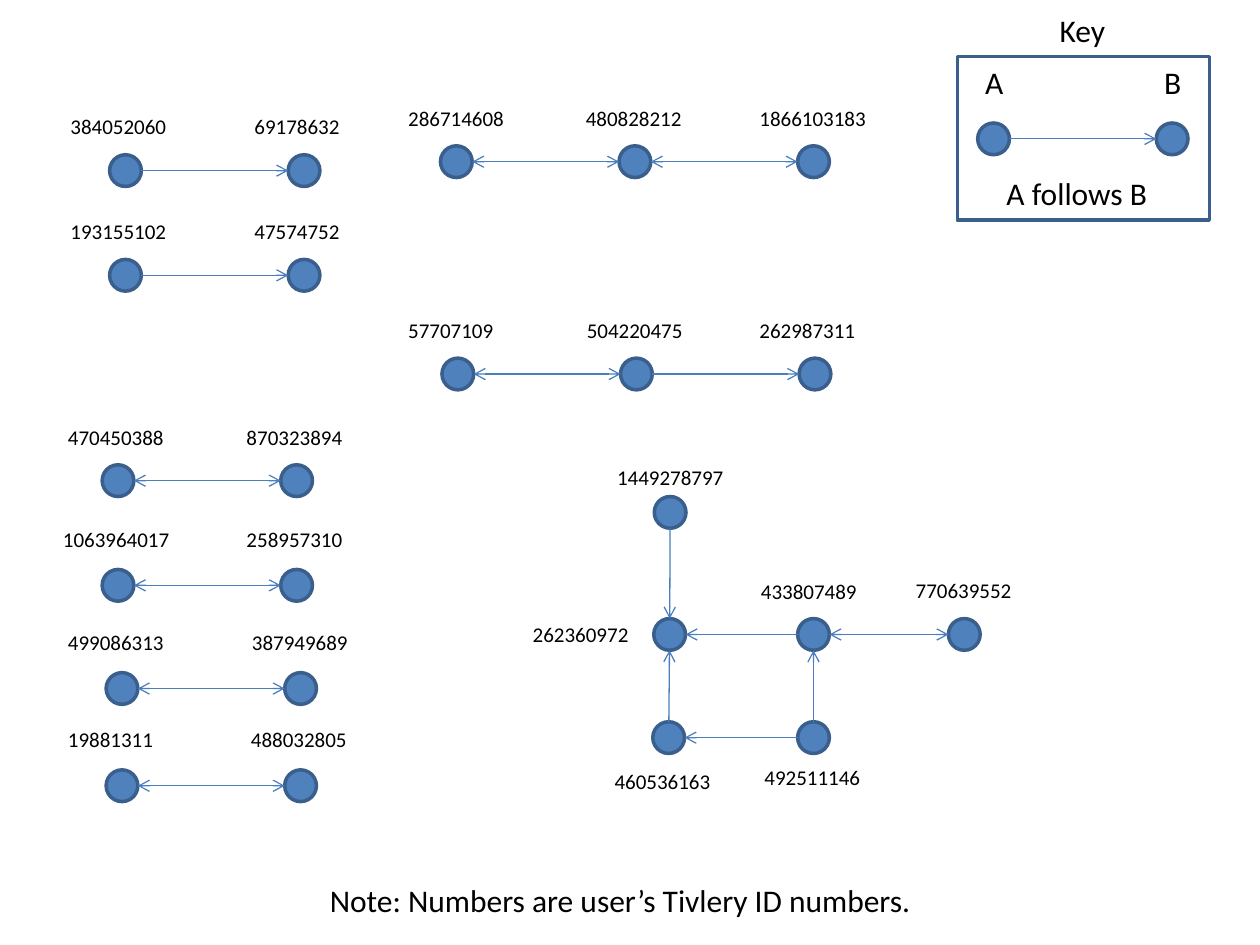
import math

import pptx
import pptx.dml.color
import pptx.enum.shapes
import pptx.enum.text
import pptx.oxml.ns
import pptx.util
from lxml import etree
from pptx.util import Cm

FILL, OUTLINE, ARROW, BLACK = "4F81BD", "3A5F8C", "4B7EBC", "000000"
DIAMETER = 0.64
STEP = 3.6


def paint(fill, color):
    """Make a fill (of a shape, line or font) one solid hex colour."""
    fill.solid()
    fill.fore_color.rgb = pptx.dml.color.RGBColor.from_string(color)


def add_text(text, left, top, width, height=1.03, size=18, wrap=True, color=BLACK):
    """Add a one-paragraph text box, placed in centimetres."""
    tf = s.shapes.add_textbox(Cm(left), Cm(top), Cm(width), Cm(height)).text_frame
    tf.word_wrap = wrap
    tf.auto_size = pptx.enum.text.MSO_AUTO_SIZE.SHAPE_TO_FIT_TEXT
    r = tf.paragraphs[0].add_run()
    r.text = text
    r.font.name = "Calibri"
    r.font.size = pptx.util.Pt(size)
    paint(r.font.fill, color)


prs = pptx.Presentation()
prs.slide_width, prs.slide_height = Cm(25.4), Cm(19.05)
s = prs.slides.add_slide(prs.slide_layouts[6])

# Key frame and captions
frame = s.shapes.add_shape(pptx.enum.shapes.MSO_SHAPE.RECTANGLE,
                           Cm(19.3), Cm(1.14), Cm(5.08), Cm(3.3))
frame.shadow.inherit = False
frame.fill.background()
paint(frame.line.fill, OUTLINE)
frame.line.width = pptx.util.Pt(2)
add_text("Key", 21.11, 0.1, 1.47)
add_text("A follows B", 20.04, 3.38, 3.61)
add_text("Note: Numbers are user’s Tivlery ID numbers.", 6.4, 17.63, 12.9)

# Cluster users: centre x, centre y, label left, label top
nodes = {
    "262360972": (13.5, 12.79, 10.49, 12.4),
    "460536163": (13.48, 14.87, 12.14, 15.37),
    "1449278797": (13.51, 10.33, 12.19, 9.25),
    "433807489": (16.4, 12.79, 15.09, 11.53),
    "770639552": (19.44, 12.79, 18.21, 11.51),
    "492511146": (16.4, 14.87, 15.16, 15.29),
}
# Follower, followed, whether it is mutual
follows = [
    ("460536163", "262360972", False),
    ("433807489", "262360972", False),
    ("1449278797", "262360972", False),
    ("433807489", "770639552", True),
    ("492511146", "433807489", False),
    ("492511146", "460536163", False),
]

# Chains: first centre x, centre y, label top, users with label left, mutual links
chains = [
    (2.53, 3.44, 2.16, {"384052060": 1.17, "69178632": 4.88}, [False]),
    (2.53, 5.55, 4.29, {"193155102": 1.17, "47574752": 4.88}, [False]),
    (2.38, 9.69, 8.43, {"470450388": 1.12, "870323894": 4.72}, [True]),
    (2.38, 11.8, 10.49, {"1063964017": 1.02, "258957310": 4.72}, [True]),
    (2.46, 13.88, 12.57, {"499086313": 1.12, "387949689": 4.83}, [True]),
    (2.46, 15.84, 14.53, {"19881311": 1.12, "488032805": 4.81}, [True]),
    (9.2, 3.26, 2.01, {"286714608": 7.98, "480828212": 11.56, "1866103183": 15.06},
     [True, True]),
    (9.23, 7.54, 6.27, {"57707109": 7.98, "504220475": 11.58, "262987311": 15.06},
     [True, False]),
    (20.03, 2.8, 1.14, {"A": 19.61, "B": 23.22}, [False]),
]
for x, y, label_top, users, mutuals in chains:
    for i, (user, label_left) in enumerate(users.items()):
        nodes[user] = (x + i * STEP, y, label_left, label_top)
    names = list(users)
    follows += zip(names, names[1:], mutuals)

for user, (x, y, label_left, label_top) in nodes.items():
    sp = s.shapes.add_shape(pptx.enum.shapes.MSO_SHAPE.OVAL, Cm(x - DIAMETER / 2),
                            Cm(y - DIAMETER / 2), Cm(DIAMETER), Cm(DIAMETER))
    sp.shadow.inherit = False
    paint(sp.fill, FILL)
    paint(sp.line.fill, OUTLINE)
    sp.line.width = pptx.util.Pt(2)
    if user.isdigit():
        add_text(user, label_left, label_top, 0.57 + 0.21 * len(user), 0.77, 12, wrap=False)
    else:
        add_text(user, label_left, label_top, 0.84)

for follower, followed, mutual in follows:
    x1, y1 = nodes[follower][:2]
    x2, y2 = nodes[followed][:2]
    share = DIAMETER / 2 / math.hypot(x2 - x1, y2 - y1)
    dx, dy = (x2 - x1) * share, (y2 - y1) * share
    link = s.shapes.add_connector(pptx.enum.shapes.MSO_CONNECTOR.STRAIGHT,
                                  Cm(x1 + dx), Cm(y1 + dy), Cm(x2 - dx), Cm(y2 - dy))
    paint(link.line.fill, ARROW)
    link.line.width = pptx.util.Pt(0.75)
    ln = link.line._get_or_add_ln()
    for end in ["headEnd", "tailEnd"] if mutual else ["tailEnd"]:
        etree.SubElement(ln, pptx.oxml.ns.qn("a:" + end), type="arrow")
    etree.SubElement(link._element.spPr, pptx.oxml.ns.qn("a:effectLst"))

prs.save("out.pptx")
